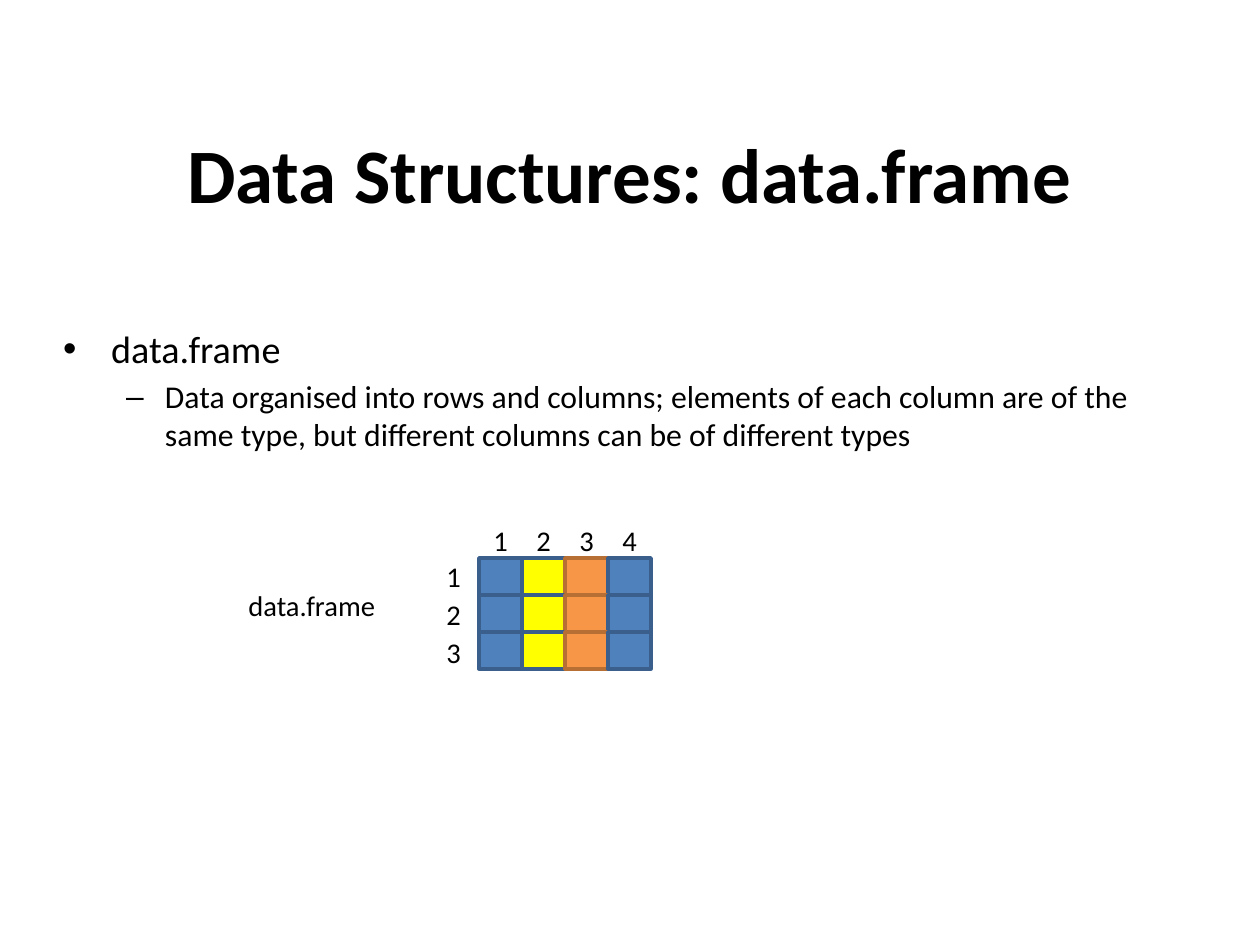
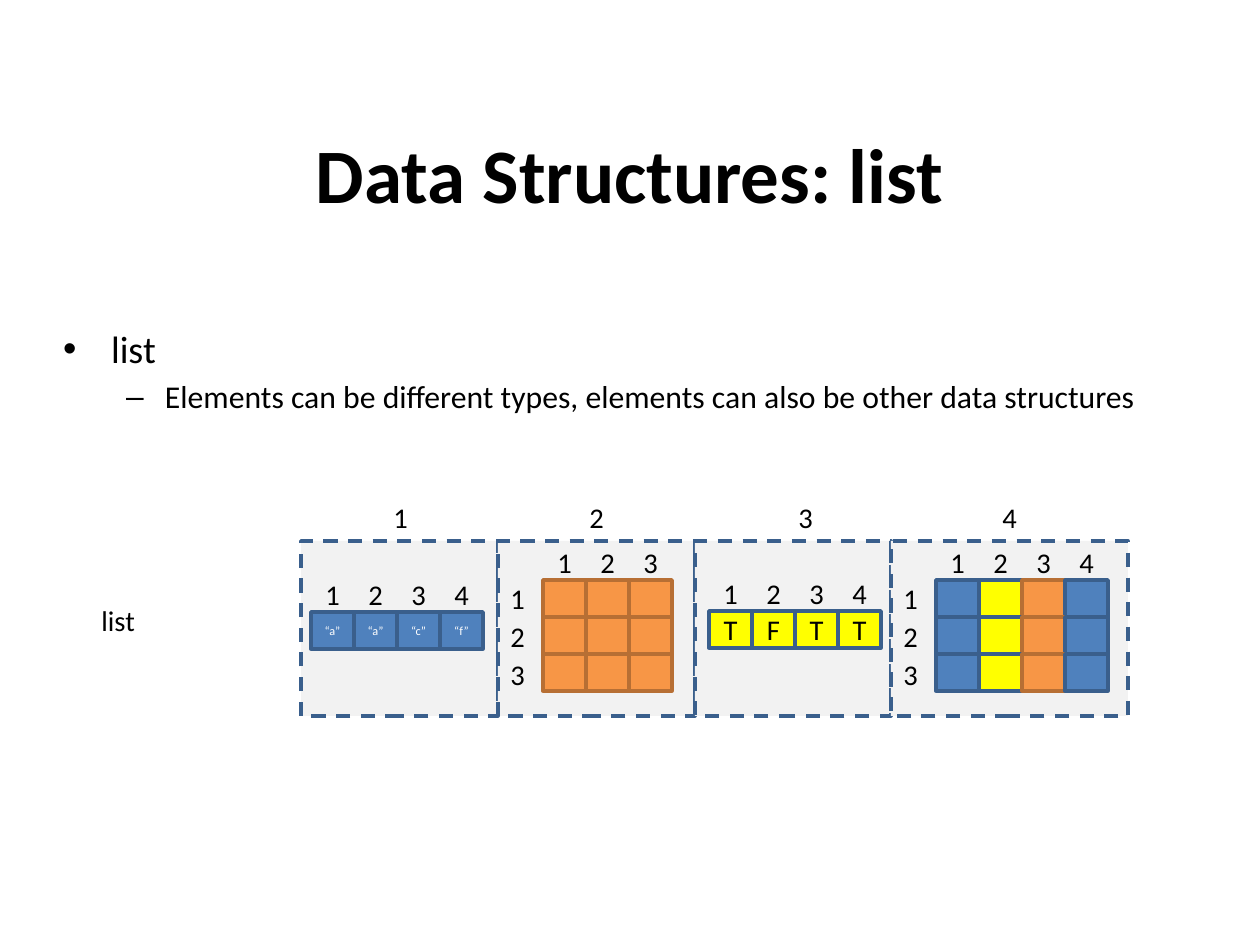
from dataclasses import dataclass

from pptx import Presentation
from pptx.dml.color import RGBColor
from pptx.enum.dml import MSO_LINE
from pptx.enum.shapes import MSO_SHAPE
from pptx.enum.text import MSO_ANCHOR, MSO_AUTO_SIZE, PP_ALIGN
from pptx.shapes.autoshape import Shape
from pptx.slide import Slide
from pptx.text.text import TextFrame, _Paragraph
from pptx.util import Emu, Pt

BLACK = RGBColor(0x00, 0x00, 0x00)
WHITE = RGBColor(0xFF, 0xFF, 0xFF)
BLUE = RGBColor(0x4F, 0x81, 0xBD)
DARK_BLUE = RGBColor(0x3A, 0x5F, 0x8C)
YELLOW = RGBColor(0xFF, 0xFF, 0x00)
ORANGE = RGBColor(0xF7, 0x96, 0x46)
DARK_ORANGE = RGBColor(0xB7, 0x6F, 0x34)
PALE_GREY = RGBColor(0xF2, 0xF2, 0xF2)

FONT = "Calibri"
LABEL_SIZE = 16.3
PX_PER_INCH = 126
CELL_W, CELL_H = 43, 37
LABEL_H = 48
MARGIN, CONTENT_W = 63, 1134


@dataclass(frozen=True)
class Column:
    """One column of cells: its colours and the text in each cell."""
    fill: RGBColor
    line: RGBColor = DARK_BLUE
    text: str = ""
    size: float = LABEL_SIZE
    color: RGBColor = BLACK


@dataclass(frozen=True)
class Grid:
    """A numbered block of cells with its top left corner in pixels."""
    left: int
    top: int
    columns: tuple[Column, ...]
    rows: int = 1


@dataclass(frozen=True)
class ListElement:
    """A dashed compartment of the list, its number and its content."""
    width: int
    label_center: int
    grid: Grid


BLUE_COLUMN = Column(BLUE)
YELLOW_COLUMN = Column(YELLOW)
ORANGE_COLUMN = Column(ORANGE, DARK_ORANGE)
FRAME_COLUMNS = (BLUE_COLUMN, YELLOW_COLUMN, ORANGE_COLUMN, BLUE_COLUMN)
LETTERS = tuple(Column(BLUE, text=f"“{c}”", size=7, color=WHITE) for c in "aacf")
LOGICALS = tuple(Column(YELLOW, text=c) for c in "TFTT")

LIST_LEFT, LIST_TOP, LIST_H = 301, 541, 175
LIST_ELEMENTS = (
    ListElement(197, 400, Grid(311, 612, LETTERS)),
    ListElement(197, 596, Grid(543, 580, (ORANGE_COLUMN,) * 3, rows=3)),
    ListElement(196, 805, Grid(709, 611, LOGICALS)),
    ListElement(237, 1009, Grid(936, 580, FRAME_COLUMNS, rows=3)),
)


def px(n: int) -> Emu:
    """Turn pixels into EMU."""
    return Emu(round(n * 914400 / PX_PER_INCH))


def place(sp: Shape, left: int, top: int, width: int, height: int) -> None:
    """Move and size a shape, in pixels."""
    sp.left, sp.top, sp.width, sp.height = map(px, (left, top, width, height))


def add_run(p: _Paragraph, text: str, size: float, color: RGBColor = BLACK,
            bold: bool = False) -> None:
    """Append a formatted run to a paragraph."""
    r = p.add_run()
    r.text = text
    r.font.name, r.font.size, r.font.bold = FONT, Pt(size), bold
    r.font.color.rgb = color


def reset_frame(tf: TextFrame, anchor: MSO_ANCHOR) -> None:
    """Give a text frame no insets, a fixed size and an anchor."""
    tf.margin_left = tf.margin_right = tf.margin_top = tf.margin_bottom = 0
    tf.auto_size = MSO_AUTO_SIZE.NONE
    tf.word_wrap = True
    tf.vertical_anchor = anchor


def add_label(shapes, text: str, left: int, top: int, width: int = CELL_W,
              align: PP_ALIGN = PP_ALIGN.CENTER) -> None:
    """Add a one-line label; centred labels have no side insets."""
    sp = shapes.add_textbox(px(left), px(top), px(width), px(LABEL_H))
    tf = sp.text_frame
    tf.word_wrap = True
    if align == PP_ALIGN.CENTER:
        tf.margin_left = tf.margin_right = 0
    p = tf.paragraphs[0]
    p.alignment = align
    add_run(p, text, LABEL_SIZE)


def add_box(shapes, left: int, top: int, width: int, height: int,
            fill: RGBColor, line: RGBColor) -> Shape:
    """Add a flat rectangle with a 2 pt outline."""
    sp = shapes.add_shape(MSO_SHAPE.RECTANGLE, px(left), px(top), px(width), px(height))
    sp.shadow.inherit = False
    sp.fill.solid()
    sp.fill.fore_color.rgb = fill
    sp.line.color.rgb = line
    sp.line.width = Pt(2)
    return sp


def add_grid(shapes, grid: Grid) -> None:
    """Draw the cells row by row, then number the columns and rows."""
    group = shapes.add_group_shape().shapes
    for row in range(grid.rows):
        for i, col in enumerate(grid.columns):
            sp = add_box(group, grid.left + i * CELL_W, grid.top + row * CELL_H,
                         CELL_W, CELL_H, col.fill, col.line)
            if col.text:
                reset_frame(sp.text_frame, MSO_ANCHOR.MIDDLE)
                p = sp.text_frame.paragraphs[0]
                p.alignment = PP_ALIGN.CENTER
                add_run(p, col.text, col.size, col.color)
    for i in range(len(grid.columns)):
        add_label(group, str(i + 1), grid.left + i * CELL_W, grid.top - 41)
    if grid.rows > 1:
        for row in range(grid.rows):
            add_label(group, str(row + 1), grid.left - 47, grid.top - 5 + row * 38)


def add_list(shapes) -> None:
    """Draw the dashed compartments, their numbers and their contents."""
    group = shapes.add_group_shape().shapes
    left = LIST_LEFT
    for element in LIST_ELEMENTS:
        sp = add_box(group, left, LIST_TOP, element.width, LIST_H, PALE_GREY, DARK_BLUE)
        sp.line.dash_style = MSO_LINE.DASH
        left += element.width
    for number, element in enumerate(LIST_ELEMENTS, 1):
        add_grid(group, element.grid)
        add_label(group, str(number), element.label_center - CELL_W // 2, 494)


def add_bullet(p: _Paragraph, text: str, level: int, size: float,
               margin: int, hang: int) -> None:
    """Fill a list paragraph with a hanging indent."""
    p.level = level
    pPr = p._p.get_or_add_pPr()
    pPr.set("marL", str(px(margin)))
    pPr.set("indent", str(-px(hang)))
    add_run(p, text, size)


def add_topic(prs: Presentation, name: str, description: str, body_h: int) -> Slide:
    """Add a slide with its title and two-level list."""
    slide = prs.slides.add_slide(prs.slide_layouts[1])
    title, body = slide.placeholders
    place(title, MARGIN, 94, CONTENT_W, 158)
    reset_frame(title.text_frame, MSO_ANCHOR.MIDDLE)
    p = title.text_frame.paragraphs[0]
    p.alignment = PP_ALIGN.CENTER
    add_run(p, f"Data Structures: {name}", 44, bold=True)

    place(body, MARGIN, 325, CONTENT_W, body_h)
    tf = body.text_frame
    reset_frame(tf, MSO_ANCHOR.TOP)
    add_bullet(tf.paragraphs[0], name, 0, 21.8, 48, 48)
    add_bullet(tf.add_paragraph(), description, 1, 18.1, 102, 39)
    return slide


def main() -> None:
    """Build and save the presentation."""
    prs = Presentation()
    prs.slide_width, prs.slide_height = px(1260), px(945)

    slide = add_topic(
        prs, "data.frame",
        "Data organised into rows and columns; elements of each column are of the "
        "same type, but different columns can be of different types", 170)
    add_grid(slide.shapes, Grid(479, 558, FRAME_COLUMNS, rows=3))
    add_label(slide.shapes, "data.frame", 236, 582, 198, PP_ALIGN.LEFT)

    slide = add_topic(
        prs, "list",
        "Elements can be different types, elements can also be other data structures", 125)
    add_label(slide.shapes, "list", 89, 597, 193, PP_ALIGN.LEFT)
    add_list(slide.shapes)

    prs.save("out.pptx")


main()
